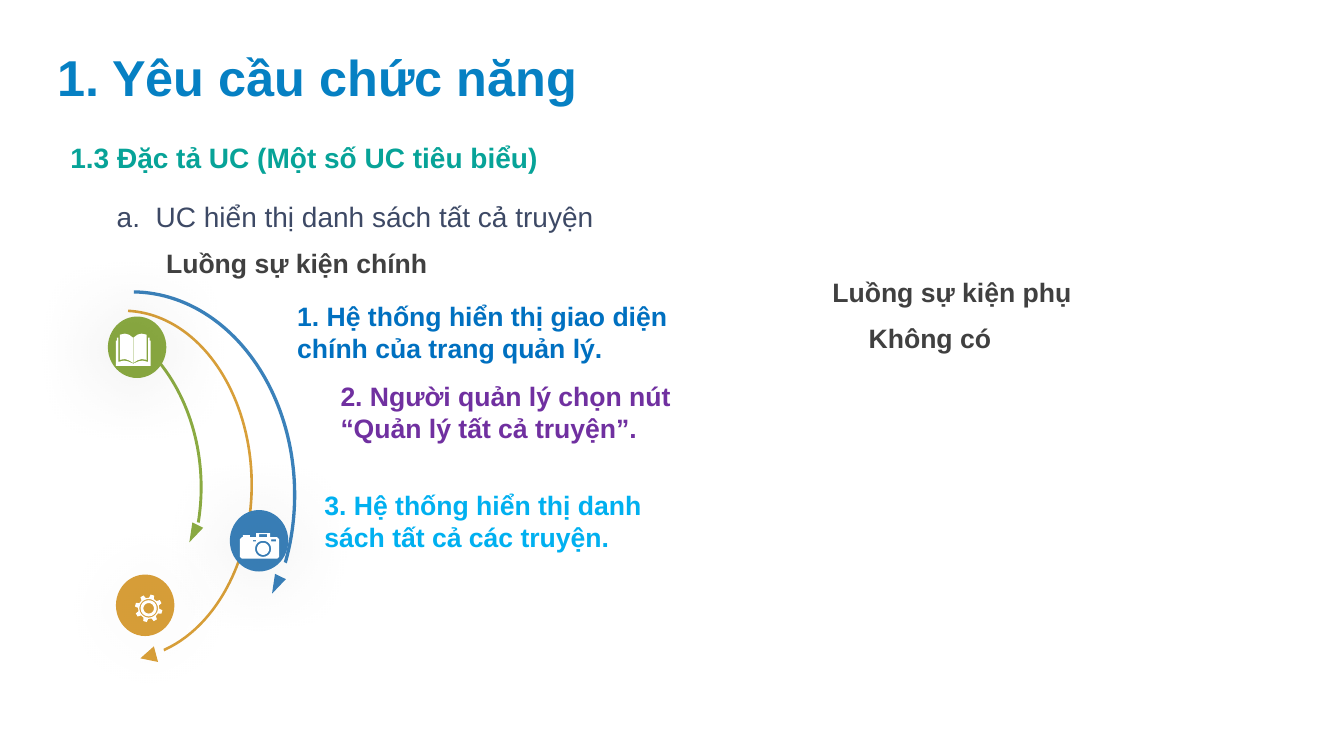
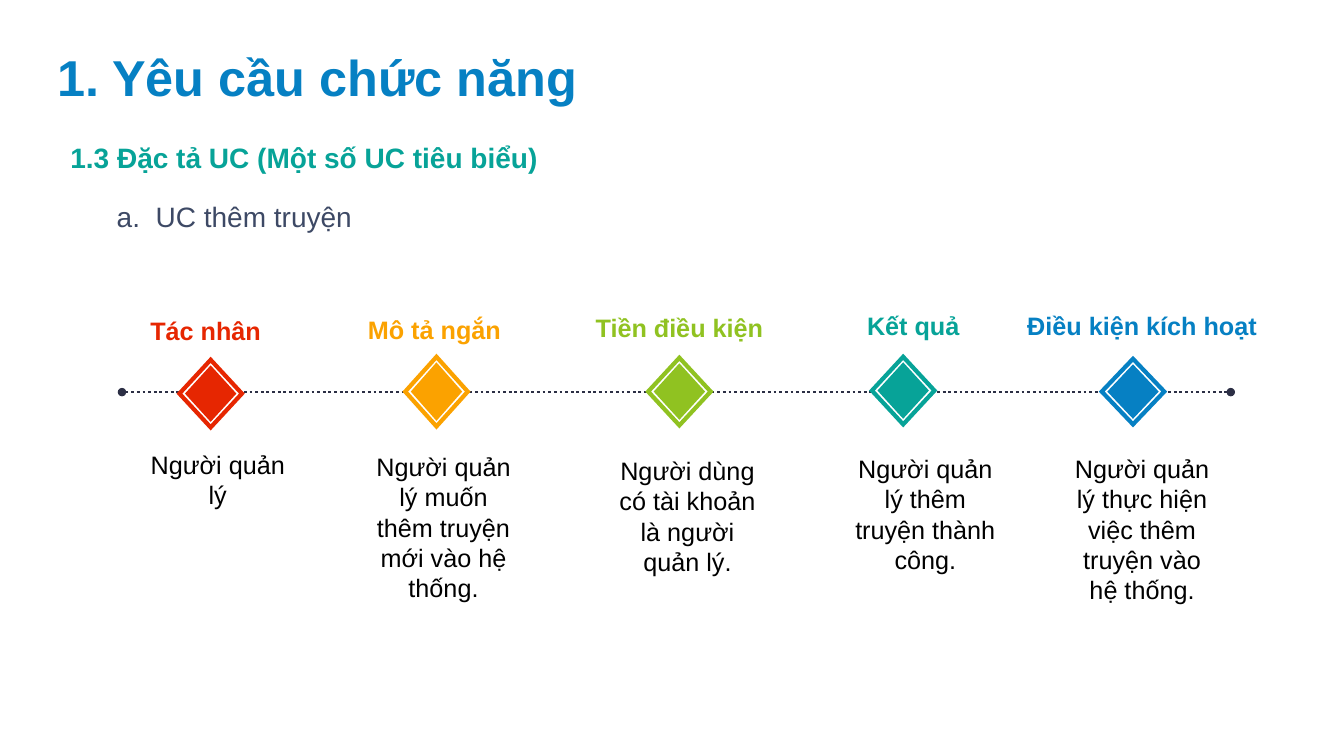
from math import cos, pi, sin

from lxml import etree
from pptx import Presentation
from pptx.dml.color import RGBColor
from pptx.enum.dml import MSO_LINE
from pptx.enum.shapes import MSO_CONNECTOR, MSO_SHAPE
from pptx.enum.text import MSO_ANCHOR, PP_ALIGN
from pptx.oxml.ns import qn
from pptx.util import Inches, Pt

ARC, OVAL = MSO_SHAPE.BLOCK_ARC, MSO_SHAPE.OVAL
TIP, GEM = MSO_SHAPE.ISOSCELES_TRIANGLE, MSO_SHAPE.DIAMOND
LINE, DOTS = MSO_CONNECTOR.STRAIGHT, MSO_LINE.ROUND_DOT
LEFT, MID = PP_ALIGN.LEFT, PP_ALIGN.CENTER
TOP, CENTER = MSO_ANCHOR.TOP, MSO_ANCHOR.MIDDLE

FONT = "Arial"
COLS, ROWS = 133.33, 75          # grid of square cells
CELL = Inches(0.1)
HUES = {
    "title": "0680C3", "teal": "07A398", "slate": "3D4965", "gray": "404040",
    "blue": "0070C0", "plum": "7030A0", "sky": "00B0F0", "black": "000000",
    "white": "FFFFFF", "gold": "D89F39", "steel": "3A81BA", "moss": "8BAB42",
    "red": "E62601", "amber": "FBA200", "lime": "90C221", "ink": "2C2F45",
}


def grid(*cells):
    return [round(c * CELL) for c in cells]


def hue(name):
    return RGBColor.from_string(HUES[name])


def node(home, tag, **attrs):
    return etree.SubElement(home, qn(tag), attrs)


# Elements
def label(slide, text, box, size, color, bold=True, align=LEFT, anchor=TOP):
    frame = slide.shapes.add_textbox(*grid(*box)).text_frame
    frame.word_wrap = True
    frame.vertical_anchor = anchor
    frame.text = text
    para = frame.paragraphs[0]
    para.alignment = align
    font = para.runs[0].font
    font.name, font.size, font.bold = FONT, Pt(size), bold
    font.color.rgb = hue(color)


def paint(shape, color, edge=None):
    shape.shadow.inherit = False
    shape.fill.solid()
    shape.fill.fore_color.rgb = hue(color)
    if edge:
        shape.line.color.rgb = hue(edge)
        shape.line.width = Pt(3)
        node(shape.line._ln, "a:miter", lim="800000")
    else:
        shape.line.fill.background()


def block(slide, kind, box, color, edge=None, turn=0):
    shape = slide.shapes.add_shape(kind, *grid(*box))
    shape.rotation = turn
    paint(shape, color, edge)
    return shape


def sweep(slide, color, box, start, end, thick, tip, turn):
    """Thin arc, angles in degrees, with a loose arrow tip."""
    arc = block(slide, ARC, box, color)
    for i, value in enumerate((start * 0.6, end * 0.6, thick)):
        arc.adjustments[i] = value
    block(slide, TIP, tip, color, turn=turn)


def icon(slide, at, rings):
    """White outline with holes; points are in hundredths of a cell."""
    pen = slide.shapes.build_freeform(*rings[0][0], scale=CELL / 100)
    for i, ring in enumerate(rings):
        if i:
            pen.move_to(*ring[0])
        pen.add_line_segments(ring[1:], close=True)
    shape = pen.convert_to_shape(*grid(*at))
    paint(shape, "white")
    glow = shape._element.spPr.find(qn("a:effectLst"))
    shade = node(glow, "a:outerShdw", blurRad=str(Pt(63)), dist="0", dir="0",
                 algn="ctr", rotWithShape="0")
    tint = node(shade, "a:srgbClr", val=HUES["black"])
    node(tint, "a:alpha", val="40000")


# Icon outlines
def ring(x, y, size, count=32):
    steps = [2 * pi * i / count for i in range(count)]
    return [(x + size * cos(a), y + size * sin(a)) for a in steps]


def rect(x, y, w, h):
    return [(x, y), (x + w, y), (x + w, y + h), (x, y + h)]


def gear():
    mid, teeth = 135, 8
    edge = []
    for i in range(teeth):
        for part, size in ((-0.3, 105), (-0.17, 137), (0.17, 137), (0.3, 105)):
            a = 2 * pi * (i + part + 0.35) / teeth
            edge.append((mid + size * cos(a), mid + size * sin(a)))
    return [edge] + [ring(mid, mid, r) for r in (92, 80, 52)]


def book():
    page = [(40, 10), (90, 0), (130, 10), (170, 40), (170, 290), (130, 265),
            (90, 252), (40, 260)]
    cover = [(0, 70), (10, 70), (10, 40), (25, 40), (25, 280), (80, 268),
             (120, 275), (172, 298), (172, 320), (0, 320)]
    flip = [[(344 - x, y) for x, y in side] for side in (page, cover)]
    return [page, cover] + flip


def camera():
    body = [(0, 60), (20, 40), (30, 40), (30, 20), (100, 20), (100, 40),
            (160, 40), (160, 0), (300, 0), (300, 40), (370, 40), (390, 60),
            (390, 235), (370, 252), (20, 252), (0, 235)]
    return [body, ring(230, 155, 80), ring(230, 155, 60),
            rect(190, 10, 80, 30), rect(130, 70, 30, 12),
            rect(310, 62, 50, 18)]


# Slides
def start(deck, topic):
    slide = deck.slides.add_slide(deck.slide_layouts[6])
    label(slide, "1. Yêu cầu chức năng", (4.7, 4.1, 101.1, 7.1), 36, "title")
    label(slide, "1.3 Đặc tả UC (Một số UC tiêu biểu)", (6, 13.8, 81, 3.6),
          20, "teal", anchor=CENTER)
    label(slide, "a.  " + topic, (10.6, 19.3, 52, 4.4), 20, "slate", False)
    return slide


def flow(deck):
    slide = start(deck, "UC hiển thị danh sách tất cả truyện")
    sweep(slide, "gold", (-0.6, 30.7, 25.7, 34.8), 271.51, 76.28, 0.01,
          (13.9, 64.3, 1.6, 1.6), 255)
    sweep(slide, "steel", (-3.2, 28.8, 32.6, 40.6), 270.55, 23.84, 0.01,
          (26.8, 57.1, 1.2, 1.9), 206.2)
    sweep(slide, "moss", (-8.4, 30.7, 28.5, 35.3), 294.91, 14.16, 0.01,
          (18.6, 52, 1.2, 1.9), 206.2)
    for x, y, color, at, draw in (
            (11.5, 57, "gold", (13.4, 59), gear),
            (10.7, 31.4, "moss", (11.5, 33.1), book),
            (22.8, 50.6, "steel", (23.8, 52.9), camera)):
        block(slide, OVAL, (x, y, 5.8, 6.1), color)
        icon(slide, at, draw())
    for text, x, y, wide, color in (
            ("Luồng sự kiện chính", 15.5, 24, 30.7, "gray"),
            ("1. Hệ thống hiển thị giao diện chính của trang quản lý.",
             28.5, 29.3, 44.8, "blue"),
            ("2. Người quản lý chọn nút “Quản lý tất cả truyện”.",
             32.8, 37.2, 37.3, "plum"),
            ("3. Hệ thống hiển thị danh sách tất cả các truyện.",
             31.2, 48, 36.2, "sky"),
            ("Luồng sự kiện phụ", 81.6, 26.9, 30.7, "gray"),
            ("Không có", 85.2, 31.4, 32.6, "gray")):
        label(slide, text, (x, y, wide, 4.2), 19, color)


def steps(deck):
    slide = start(deck, "UC thêm truyện")
    axis = slide.shapes.add_connector(LINE, *grid(12.1, 38.9, 122.1, 38.9))
    axis.line.color.rgb = hue("ink")
    axis.line.width = Pt(2)
    axis.line.dash_style = DOTS
    for end in ("a:headEnd", "a:tailEnd"):
        node(axis.line._ln, end, type="oval")
    node(axis._element.spPr, "a:effectLst")

    # Color, gem centre and height, head centre, note centre and top
    for color, x, y, high, hx, hy, nx, ny, head, note in (
            ("red", 20.9, 39.05, 6.7, 20.4, 32.8, 21.6, 44.1,
             "Tác nhân", "Người quản lý"),
            ("amber", 43.3, 38.85, 6.9, 43.1, 32.7, 44, 44.3, "Mô tả ngắn",
             "Người quản lý muốn thêm truyện mới vào hệ thống."),
            ("lime", 67.4, 38.85, 6.7, 67.4, 32.5, 68.2, 44.7,
             "Tiền điều kiện",
             "Người dùng có tài khoản là người quản lý."),
            ("teal", 89.6, 38.75, 6.7, 90.6, 32.3, 91.8, 44.5, "Kết quả",
             "Người quản lý thêm truyện thành công."),
            ("title", 112.4, 38.85, 6.5, 113.3, 32.3, 113.3, 44.5,
             "Điều kiện kích hoạt",
             "Người quản lý thực hiện việc thêm truyện vào hệ thống.")):
        for trim, fill, edge in ((0, "white", color), (1.1, color, None)):
            w, h = 6.2 - trim, high - trim
            block(slide, GEM, (x - w / 2, y - h / 2, w, h), fill, edge)
        label(slide, head, (hx - 13, hy - 2, 26, 4), 18, color,
              align=MID, anchor=CENTER)
        label(slide, note, (nx - 8.2, ny, 16.4, 16.2), 18, "black", False, MID)


def main():
    deck = Presentation()
    deck.slide_width, deck.slide_height = grid(COLS, ROWS)
    flow(deck)
    steps(deck)
    deck.save("out.pptx")


if __name__ == "__main__":
    main()
